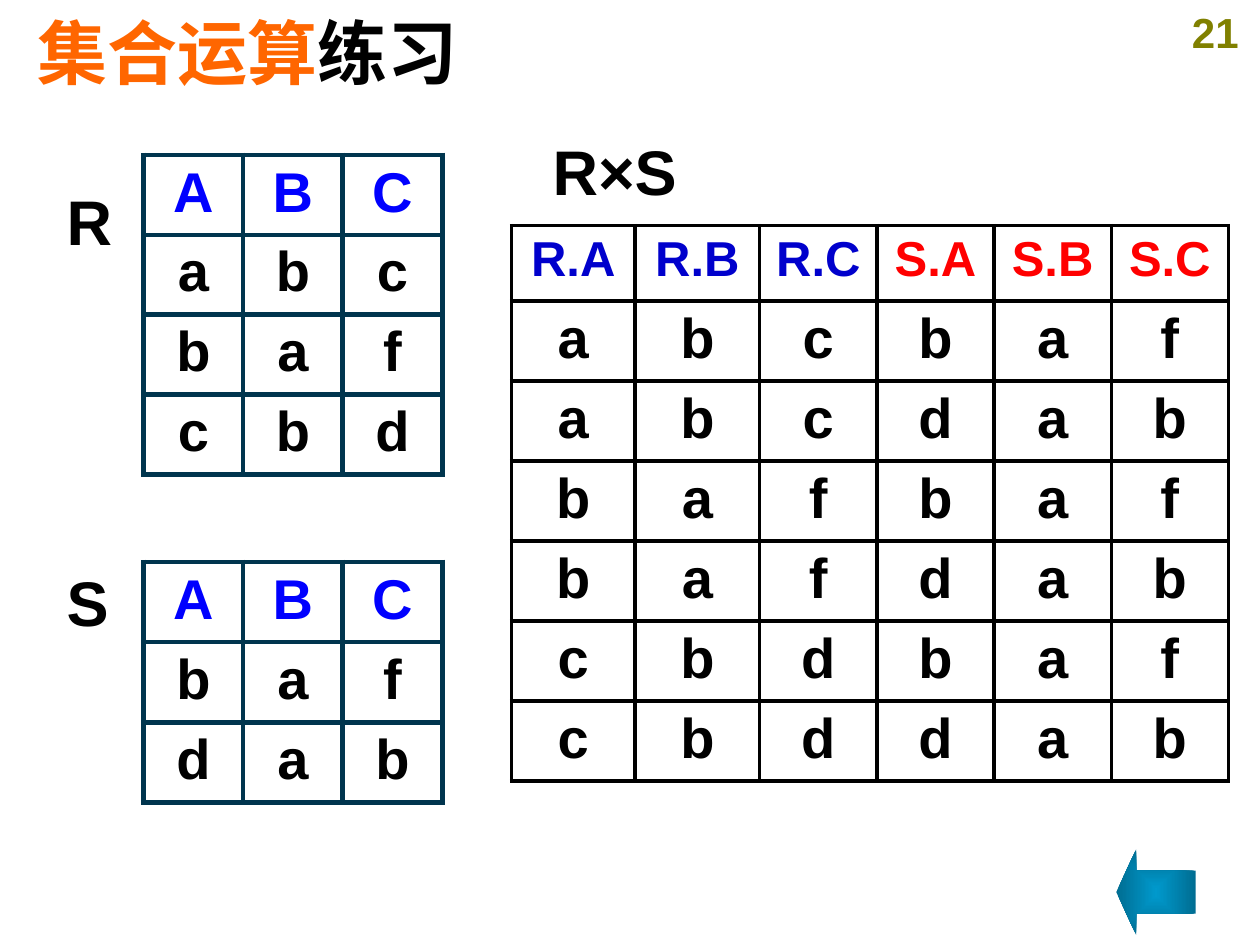
from dataclasses import dataclass

from lxml.etree import SubElement
from pptx import Presentation
from pptx.dml.color import RGBColor
from pptx.enum.shapes import MSO_SHAPE
from pptx.enum.text import MSO_ANCHOR, MSO_AUTO_SIZE, PP_ALIGN
from pptx.oxml.ns import qn
from pptx.util import Inches, Pt

COLORS = {
    "black": "000000",
    "white": "FFFFFF",
    "orange": "FF6600",
    "olive": "808000",
    "blue": "0000FF",
    "dark blue": "0000CC",
    "red": "FF0000",
    "teal": "00354E",
    "arrow center": "0099CC",
    "arrow edge": "006D92",
}


@dataclass
class Label:
    box: tuple[float, float, float, float]
    runs: list[tuple[str, str]]
    size: int = 36
    align: PP_ALIGN = PP_ALIGN.LEFT
    wrap: bool = True
    anchor: MSO_ANCHOR = MSO_ANCHOR.TOP
    auto_size: MSO_AUTO_SIZE = MSO_AUTO_SIZE.SHAPE_TO_FIT_TEXT


@dataclass
class Relation:
    """A table of one-letter values; filled_columns counts the white columns."""
    left: float
    top: float
    widths: list[float]
    heights: list[float]
    header: list[str]
    header_colors: list[str]
    rows: list[str]
    border: str
    border_width: float
    header_size: int = 32
    side_margin: float = 0.1
    filled_columns: int = 0


R_ROWS = ["abc", "baf", "cbd"]
S_ROWS = ["baf", "dab"]
PRODUCT_ROWS = [r + s for r in R_ROWS for s in S_ROWS]

LABELS = [
    Label((9.29, 0, 0.71, 0.5), [("21", "olive")], 24, PP_ALIGN.CENTER),
    Label((0.2, 0.13, 9.47, 0.55), [("集合运算", "orange"), ("练习", "black")], 40,
          anchor=MSO_ANCHOR.MIDDLE, auto_size=MSO_AUTO_SIZE.NONE),
    Label((4.07, 1, 1.4, 0.7), [("R×S", "black")], align=PP_ALIGN.RIGHT),
    Label((0.43, 1.4, 0.56, 0.7), [("R", "black")], wrap=False),
    Label((0.43, 4.42, 0.53, 0.7), [("S", "black")], wrap=False),
]


def operand(top: float, height: float, rows: list[str]) -> Relation:
    row_count = len(rows) + 1
    return Relation(1.14, top, [0.79] * 3, [height / row_count] * row_count,
                    list("ABC"), ["blue"] * 3, rows, "teal", 3)


PRODUCT = Relation(
    4.06, 1.79, [0.98, 0.99] + [0.93] * 4, [0.6] + [3.81 / 6] * 6,
    [f"{name}.{column}" for name in "RS" for column in "ABC"],
    ["dark blue"] * 3 + ["red"] * 3, PRODUCT_ROWS, "black", 2.25,
    header_size=28, side_margin=0, filled_columns=3)
RELATIONS = [PRODUCT, operand(1.23, 2.53, R_ROWS), operand(4.46, 1.91, S_ROWS)]


def color(name: str) -> RGBColor:
    return RGBColor.from_string(COLORS[name])


def add_run(paragraph, text: str, size: int, color_name: str) -> None:
    run = paragraph.add_run()
    run.text = text
    font_format = {"name": "Arial", "size": Pt(size), "bold": True}
    for attribute, value in font_format.items():
        setattr(run.font, attribute, value)
    run.font.color.rgb = color(color_name)


def add_label(slide, label: Label) -> None:
    shape = slide.shapes.add_textbox(*map(Inches, label.box))
    frame = shape.text_frame
    frame_format = {"word_wrap": label.wrap, "vertical_anchor": label.anchor,
                    "auto_size": label.auto_size}
    for attribute, value in frame_format.items():
        setattr(frame, attribute, value)
    paragraph = frame.paragraphs[0]
    paragraph.alignment = label.align
    for text, color_name in label.runs:
        add_run(paragraph, text, label.size, color_name)


def set_borders(cell, color_name: str, width: float) -> None:
    properties = cell._tc.get_or_add_tcPr()
    for side in ("a:lnL", "a:lnR", "a:lnT", "a:lnB"):
        line = SubElement(properties, qn(side), w=str(Pt(width)))
        fill = SubElement(line, qn("a:solidFill"))
        SubElement(fill, qn("a:srgbClr"), val=COLORS[color_name])


def add_relation(slide, relation: Relation) -> None:
    table_rows = [relation.header, *relation.rows]
    box = (relation.left, relation.top, sum(relation.widths), sum(relation.heights))
    table = slide.shapes.add_table(
        len(table_rows), len(relation.widths), *map(Inches, box)).table
    table.first_row = table.horz_banding = False
    for column, width in zip(table.columns, relation.widths):
        column.width = Inches(width)
    for row, height in zip(table.rows, relation.heights):
        row.height = Inches(height)

    for row_index, values in enumerate(table_rows):
        is_header = row_index == 0
        for column_index, text in enumerate(values):
            cell = table.cell(row_index, column_index)
            cell.margin_left = cell.margin_right = Inches(relation.side_margin)
            set_borders(cell, relation.border, relation.border_width)
            filled = (column_index < relation.filled_columns
                      or is_header and relation.filled_columns > 0)
            if filled:
                cell.fill.solid()
                cell.fill.fore_color.rgb = color("white")
            else:
                cell.fill.background()
            paragraph = cell.text_frame.paragraphs[0]
            paragraph.alignment = PP_ALIGN.CENTER
            add_run(paragraph, text, relation.header_size if is_header else 32,
                    relation.header_colors[column_index] if is_header else "black")


def add_back_arrow(slide) -> None:
    """Add the left arrow, shaded from its center outwards."""
    arrow = slide.shapes.add_shape(
        MSO_SHAPE.LEFT_ARROW, *map(Inches, (8.86, 6.74, 0.63, 0.68)))
    arrow.shadow.inherit = False
    arrow.adjustments[0] = 0.5
    arrow.adjustments[1] = 0.25
    arrow.line.fill.background()
    arrow.fill.gradient()
    for stop, name in zip(arrow.fill.gradient_stops, ("arrow center", "arrow edge")):
        stop.color.rgb = color(name)
    gradient = arrow._element.spPr.find(qn("a:gradFill"))
    gradient.remove(gradient.find(qn("a:lin")))
    shading = SubElement(gradient, qn("a:path"), path="rect")
    SubElement(shading, qn("a:fillToRect"), dict.fromkeys("ltrb", "50000"))


def main() -> None:
    presentation = Presentation()
    presentation.slide_width = Inches(10)
    presentation.slide_height = Inches(7.5)
    slide = presentation.slides.add_slide(presentation.slide_layouts[6])
    for label in LABELS:
        add_label(slide, label)
    for relation in RELATIONS:
        add_relation(slide, relation)
    add_back_arrow(slide)
    presentation.save("out.pptx")


if __name__ == "__main__":
    main()
